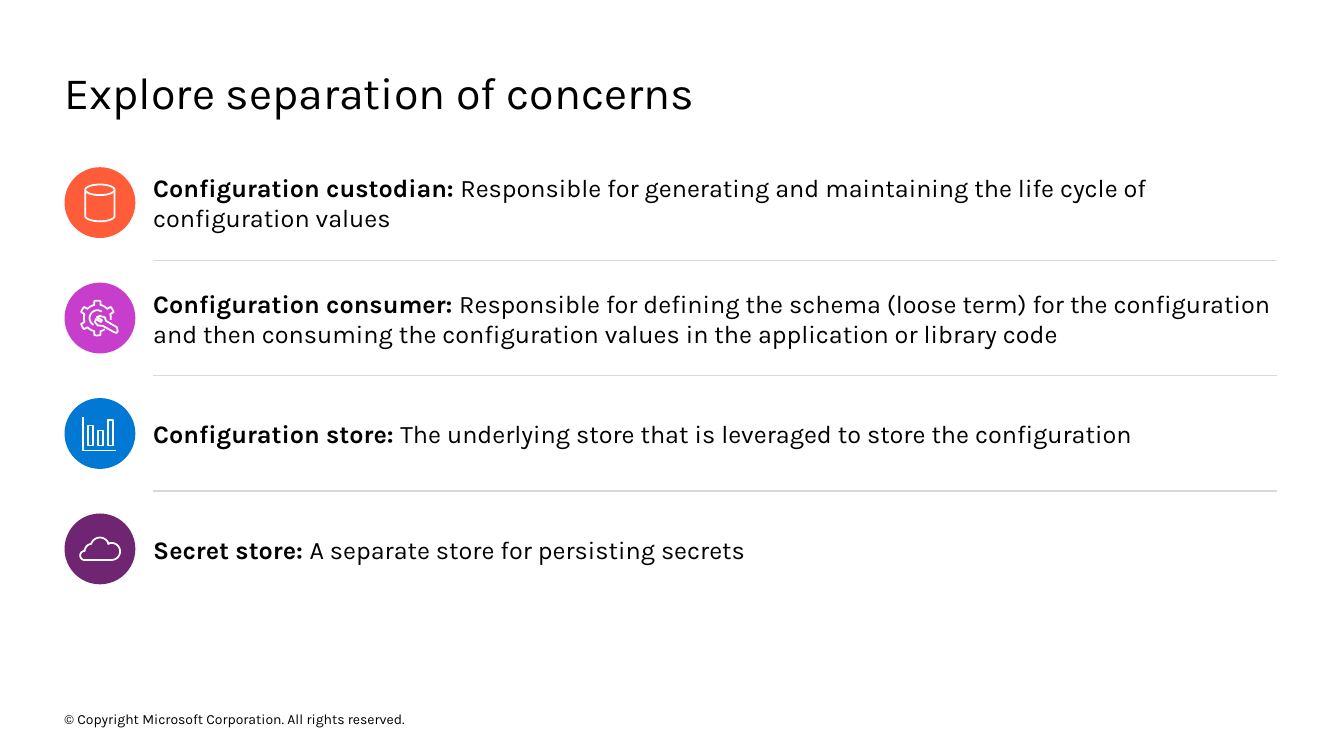
from dataclasses import dataclass
from math import cos, radians, sin

from lxml import etree
from pptx import Presentation
from pptx import util as u
from pptx.dml.color import RGBColor
from pptx.enum import shapes, text
from pptx.oxml.ns import qn

WIDE, HIGH = u.Inches(13.33), u.Inches(7.5)
BLACK = RGBColor(0x00, 0x00, 0x00)
WHITE = RGBColor(0xFF, 0xFF, 0xFF)
GREY = RGBColor(0xD9, 0xD9, 0xD9)
CORAL = RGBColor(0xFF, 0x5C, 0x39)
PINK = RGBColor(0xC7, 0x3E, 0xCC)
BLUE = RGBColor(0x00, 0x78, 0xD4)
PLUM = RGBColor(0x70, 0x25, 0x73)

EDGE, INDENT, END = 0.048, 0.114, 0.95
FIRST, PITCH = 0.268, 0.1527
DISC = round(HIGH * 0.0937)
FINE = 10

Point = tuple[float, float]
Stroke = list[Point]


@dataclass(frozen=True)
class Box:
    left: float
    top: float
    width: float
    height: float


@dataclass(frozen=True)
class Role:
    term: str
    note: str
    color: RGBColor
    icon: list[Stroke]


def arc(x: float, y: float, size: float, start: int, stop: int) -> Stroke:
    count = max(2, abs(stop - start) // 6)
    turns = [radians(start + (stop - start) * i / count) for i in range(count + 1)]
    return [(x + size * cos(t), y + size * sin(t)) for t in turns]


def drum() -> list[Stroke]:
    wide, flat = 20.7, 0.36
    lid = [(50 + x, 32 + y * flat) for x, y in arc(0, 0, wide, 0, 360)]
    base = [(50 + x, 69 + y * flat) for x, y in arc(0, 0, wide, 0, 180)]
    return [lid, [lid[0], *base, (50 - wide, 32)]]


def gear() -> list[Stroke]:
    x, y, root, tip = 46.4, 50, 19, 24.5
    rim = arc(x, y, root, 56, 77)
    for mid in range(90, 331, 60):
        rim += arc(x, y, tip, mid - 10, mid + 10)
        rim += arc(x, y, root, mid + 13, mid + (47 if mid < 330 else 38))
    tool = [(54, 61), (70, 70), (73.5, 71), (75, 68.5), (74, 63), (58.5, 54),
            (57, 49), (50, 47), (45.7, 48.6), (53, 53), (51.4, 55.7),
            (44.3, 51.4), (43, 55.7), (47, 60.5), (54, 61)]
    return [rim, arc(x, y, 11, 120, 305), tool]


def chart() -> list[Stroke]:
    bars = []
    for i, top in enumerate((38.6, 45.7, 31.4)):
        left = 33 + 14 * i
        right = left + 7
        bars.append([(left, 67), (left, top), (right, top), (right, 67), (left, 67)])
    return [*bars, [(26, 27), (26, 74), (73, 74)]]


def cloud() -> list[Stroke]:
    rim = (arc(50, 47, 13, 198, 342) + arc(66.4, 53.6, 12, -115, 90)
           + arc(28.5, 59.3, 6.4, 90, 270) + arc(38.5, 53, 10, 180, 262))
    return [[*rim, rim[0]]]


ROLES = [
    Role("Configuration custodian: ",
         "Responsible for generating and maintaining the life cycle of "
         "configuration values", CORAL, drum()),
    Role("Configuration consumer: ",
         "Responsible for defining the schema (loose term) for the configuration "
         "and then consuming the configuration values in the application or "
         "library code", PINK, gear()),
    Role("Configuration store: ",
         "The underlying store that is leveraged to store the configuration",
         BLUE, chart()),
    Role("Secret store: ", "A separate store for persisting secrets", PLUM, cloud()),
]


def apply(item: object, form: dict) -> None:
    for key, value in form.items():
        setattr(item, key, value)


def write(page, box: Box, runs: list[tuple[str, bool]], size: int,
          anchor=text.MSO_ANCHOR.MIDDLE) -> None:
    frame = page.shapes.add_textbox(
        round(WIDE * box.left), round(HIGH * box.top),
        round(WIDE * box.width), round(HIGH * box.height)).text_frame
    apply(frame, dict(word_wrap=True, vertical_anchor=anchor, margin_left=0,
                      margin_right=0, margin_top=0, margin_bottom=0))
    for words, bold in runs:
        run = frame.paragraphs[0].add_run()
        run.text = words
        apply(run.font, dict(name="Karla", size=u.Pt(size), bold=bold))
        run.font.color.rgb = BLACK


def rule(page, share: float) -> None:
    y = round(HIGH * share)
    line = page.shapes.add_connector(
        shapes.MSO_CONNECTOR.STRAIGHT, round(WIDE * INDENT), y, round(WIDE * END), y)
    line.line.color.rgb = GREY
    line.line.width = u.Pt(1)
    etree.SubElement(line._element.spPr, qn("a:effectLst"))


def badge(page, role: Role, mid: float) -> None:
    left, top = round(WIDE * EDGE), round(HIGH * mid - DISC / 2)
    disc = page.shapes.add_shape(shapes.MSO_SHAPE.OVAL, left, top, DISC, DISC)
    disc.fill.solid()
    disc.fill.fore_color.rgb = role.color
    disc.line.fill.background()
    disc.shadow.inherit = False

    pen = None
    for stroke in role.icon:
        first, *rest = [(x * FINE, y * FINE) for x, y in stroke]
        if pen is None:
            pen = page.shapes.build_freeform(*first, scale=DISC / (100 * FINE))
        else:
            pen.move_to(*first)
        pen.add_line_segments(rest, close=False)
    icon = pen.convert_to_shape(left, top)
    icon.fill.background()
    icon.line.color.rgb = WHITE
    icon.line.width = u.Pt(1.25)
    icon.shadow.inherit = False


def main() -> None:
    deck = Presentation()
    apply(deck, dict(slide_width=WIDE, slide_height=HIGH))
    page = deck.slides.add_slide(deck.slide_layouts[6])
    write(page, Box(EDGE, 0.085, 0.67, 0.072),
          [("Explore separation of concerns", False)], 32, text.MSO_ANCHOR.TOP)
    for i, role in enumerate(ROLES):
        mid = FIRST + PITCH * i
        if i:
            rule(page, mid - PITCH / 2)
        badge(page, role, mid)
        write(page, Box(INDENT, mid - 0.0565, 0.838, 0.113),
              [(role.term, True), (role.note, False)], 18)
    write(page, Box(EDGE, 0.936, 0.34, 0.03),
          [("© Copyright Microsoft Corporation. All rights reserved.", False)], 10)
    deck.save("out.pptx")


if __name__ == "__main__":
    main()
